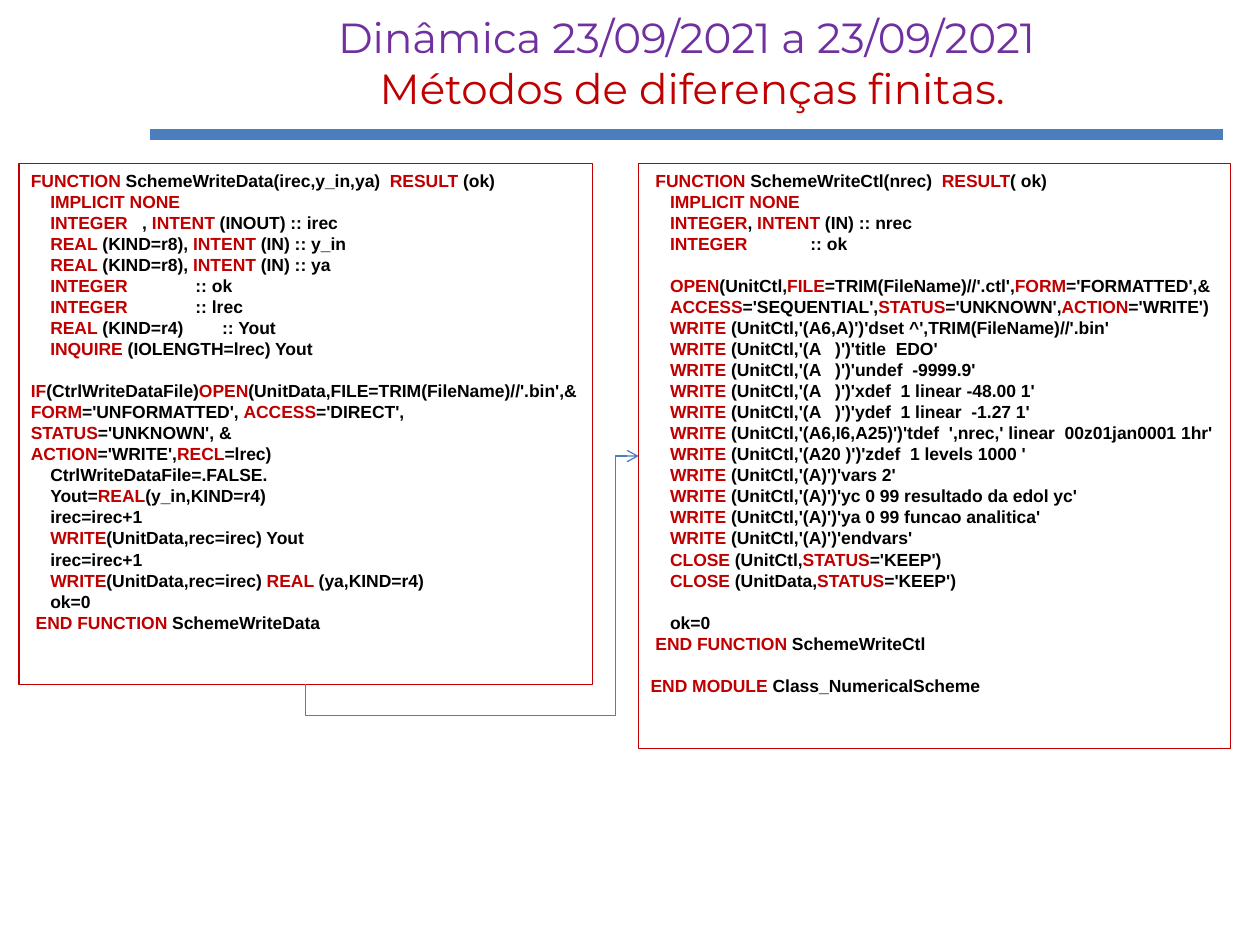
from dataclasses import dataclass

from pptx import Presentation
from pptx.dml.color import RGBColor
from pptx.enum.shapes import MSO_CONNECTOR, MSO_SHAPE
from pptx.enum.text import MSO_ANCHOR, MSO_AUTO_SIZE, PP_ALIGN
from pptx.oxml.ns import qn
from pptx.shapes.autoshape import Shape
from pptx.shapes.connector import Connector
from pptx.util import Pt
from lxml import etree

RECTANGLE = MSO_SHAPE.RECTANGLE
STRAIGHT, ELBOW = MSO_CONNECTOR.STRAIGHT, MSO_CONNECTOR.ELBOW
TOP, MIDDLE = MSO_ANCHOR.TOP, MSO_ANCHOR.MIDDLE
LEFT, CENTER = PP_ALIGN.LEFT, PP_ALIGN.CENTER
NO_AUTOFIT = MSO_AUTO_SIZE.NONE
BOTTOM_SIDE, LEFT_SIDE = 2, 1

COLORS = {"keyword": "C00000", "code": "000000", "period": "7030A0", "blue": "4B7EBC"}
CODE_SIZE = 10
SPACE_WIDTH = 2.78  # one Arial space at the code size
BLANK_LINE = 12


@dataclass
class CodeLine:
    text: str  # keywords stand between bars
    indent: int = 4  # in spaces
    gap: bool = False  # leave one line free above


@dataclass
class CodeBox:
    left: float
    top: float
    width: float
    height: float
    lines: list[CodeLine]


def write_statements(*arguments: str) -> list[CodeLine]:
    return [CodeLine(f"|WRITE| (UnitCtl,{argument}") for argument in arguments]


DATA_BOX = CodeBox(10.8, 93.6, 327.6, 297.4, [
    CodeLine("|FUNCTION |SchemeWriteData(irec,y_in,ya)  |RESULT| (ok)", 0),
    CodeLine("|IMPLICIT NONE|"),
    CodeLine("|INTEGER|   , |INTENT| (INOUT) :: irec"),
    CodeLine("|REAL| (KIND=r8), |INTENT| (IN) :: y_in"),
    CodeLine("|REAL| (KIND=r8), |INTENT| (IN) :: ya"),
    CodeLine("|INTEGER|              :: ok"),
    CodeLine("|INTEGER|              :: lrec"),
    CodeLine("|REAL| (KIND=r4)        :: Yout"),
    CodeLine("|INQUIRE| (IOLENGTH=lrec) Yout"),
    CodeLine("|IF|(CtrlWriteDataFile)|OPEN|(UnitData,FILE=TRIM(FileName)//'.bin',& "
             "|FORM|='UNFORMATTED', |ACCESS|='DIRECT', |STATUS|='UNKNOWN', &", 0, True),
    CodeLine("|ACTION|='WRITE',|RECL|=lrec)", 0),
    CodeLine("CtrlWriteDataFile=.FALSE."),
    CodeLine("Yout=|REAL|(y_in,KIND=r4)"),
    CodeLine("irec=irec+1"),
    CodeLine("|WRITE|(UnitData,rec=irec) Yout"),
    CodeLine("irec=irec+1"),
    CodeLine("|WRITE|(UnitData,rec=irec) |REAL |(ya,KIND=r4)"),
    CodeLine("ok=0"),
    CodeLine("|END FUNCTION |SchemeWriteData", 1),
])

CONTROL_BOX = CodeBox(365, 93.6, 338.4, 334.1, [
    CodeLine("|FUNCTION |SchemeWriteCtl(nrec)  |RESULT|( ok)", 1),
    CodeLine("|IMPLICIT NONE|"),
    CodeLine("|INTEGER|, |INTENT| (IN) :: nrec"),
    CodeLine("|INTEGER|             :: ok"),
    CodeLine("|OPEN|(UnitCtl,|FILE|=TRIM(FileName)//'.ctl',|FORM|='FORMATTED',&", gap=True),
    CodeLine("|ACCESS|='SEQUENTIAL',|STATUS|='UNKNOWN',|ACTION|='WRITE')"),
    *write_statements(
        "'(A6,A)')'dset ^',TRIM(FileName)//'.bin'",
        "'(A   )')'title  EDO'",
        "'(A   )')'undef  -9999.9'",
        "'(A   )')'xdef  1 linear -48.00 1'",
        "'(A   )')'ydef  1 linear  -1.27 1'",
        "'(A6,I6,A25)')'tdef  ',nrec,' linear  00z01jan0001 1hr'",
        "'(A20 )')'zdef  1 levels 1000 '",
        "'(A)')'vars 2'",
        "'(A)')'yc 0 99 resultado da edol yc'",
        "'(A)')'ya 0 99 funcao analitica'",
        "'(A)')'endvars'",
    ),
    CodeLine("|CLOSE| (UnitCtl,|STATUS|='KEEP')"),
    CodeLine("|CLOSE| (UnitData,|STATUS|='KEEP')"),
    CodeLine("ok=0", gap=True),
    CodeLine("|END FUNCTION |SchemeWriteCtl", 1),
    CodeLine("|END MODULE |Class_NumericalScheme", 0, True),
])


def color(name: str) -> RGBColor:
    return RGBColor.from_string(COLORS[name])


def fill_title(title: Shape) -> None:
    title.left, title.top, title.width, title.height = Pt(85.7), Pt(7.2), Pt(613.4), Pt(56.9)
    frame = title.text_frame
    frame.auto_size = NO_AUTOFIT
    frame.vertical_anchor = MIDDLE
    frame.text = "Dinâmica 23/09/2021 a 23/09/2021\n Métodos de diferenças finitas."
    for paragraph, color_name in zip(frame.paragraphs, ("period", "keyword")):
        paragraph.alignment = CENTER
        paragraph.font.name = "Montserrat"
        paragraph.font.size = Pt(24)
        paragraph.font.color.rgb = color(color_name)


def draw_code_box(slide, box: CodeBox) -> Shape:
    shape = slide.shapes.add_shape(
        RECTANGLE, Pt(box.left), Pt(box.top), Pt(box.width), Pt(box.height))
    shape.shadow.inherit = False
    shape.fill.background()
    shape.line.color.rgb = color("keyword")
    shape.line.width = Pt(0.75)
    frame = shape.text_frame
    frame.word_wrap = True
    frame.auto_size = NO_AUTOFIT
    frame.vertical_anchor = TOP
    frame.margin_left = frame.margin_right = Pt(6.8)
    frame.margin_top = frame.margin_bottom = Pt(3.6)
    for index, line in enumerate(box.lines):
        paragraph = frame.add_paragraph() if index else frame.paragraphs[0]
        paragraph.alignment = LEFT
        paragraph.font.name = "Arial"
        paragraph.font.size = Pt(CODE_SIZE)
        paragraph.font.bold = True
        paragraph.space_before = Pt(BLANK_LINE if line.gap else 0)
        properties = paragraph._p.get_or_add_pPr()
        properties.set("marL", str(Pt(line.indent * SPACE_WIDTH)))
        properties.set("indent", "0")
        for position, text in enumerate(line.text.split("|")):
            if text:
                run = paragraph.add_run()
                run.text = text
                run.font.color.rgb = color("keyword" if position % 2 else "code")
    return shape


def style_connector(connector: Connector, width: float) -> None:
    connector.line.color.rgb = color("blue")
    connector.line.width = Pt(width)
    etree.SubElement(connector.element.spPr, qn("a:effectLst"))


def draw_flow_arrow(slide, source: Shape, target: Shape) -> None:
    start_x, start_y = source.left + source.width // 2, source.top + source.height
    end_x, end_y = target.left, target.top + target.height // 2
    connector = slide.shapes.add_connector(ELBOW, start_x, start_y, end_x, end_y)
    connector.begin_connect(source, BOTTOM_SIDE)
    connector.end_connect(target, LEFT_SIDE)
    style_connector(connector, 0.75)
    etree.SubElement(connector.line._get_or_add_ln(), qn("a:tailEnd"), type="arrow")

    # A quarter turn makes the route leave downwards; its frame keeps the same centre
    across, up = end_x - start_x, start_y - end_y
    connector.left, connector.top = (start_x + end_x - up) // 2, (start_y + end_y - across) // 2
    connector.width, connector.height = up, across
    properties = connector.element.spPr
    frame = properties.find(qn("a:xfrm"))
    for name, value in (("rot", "5400000"), ("flipH", "1"), ("flipV", "1")):
        frame.set(name, value)
    geometry = properties.find(qn("a:prstGeom"))
    geometry.set("prst", "bentConnector4")
    adjustments = geometry.find(qn("a:avLst"))
    for name, value in (("adj1", -13800), ("adj2", 93000)):
        etree.SubElement(adjustments, qn("a:gd"), name=name, fmla=f"val {value}")


def main() -> None:
    presentation = Presentation()
    presentation.slide_width, presentation.slide_height = Pt(720), Pt(540)
    slide = presentation.slides.add_slide(presentation.slide_layouts[5])

    # Title and rule
    fill_title(slide.shapes.title)
    rule = slide.shapes.add_connector(STRAIGHT, Pt(85.7), Pt(77), Pt(699.1), Pt(77))
    style_connector(rule, 6)

    # Code listings and the step between them
    data_shape = draw_code_box(slide, DATA_BOX)
    control_shape = draw_code_box(slide, CONTROL_BOX)
    draw_flow_arrow(slide, data_shape, control_shape)

    presentation.save("out.pptx")


if __name__ == "__main__":
    main()
